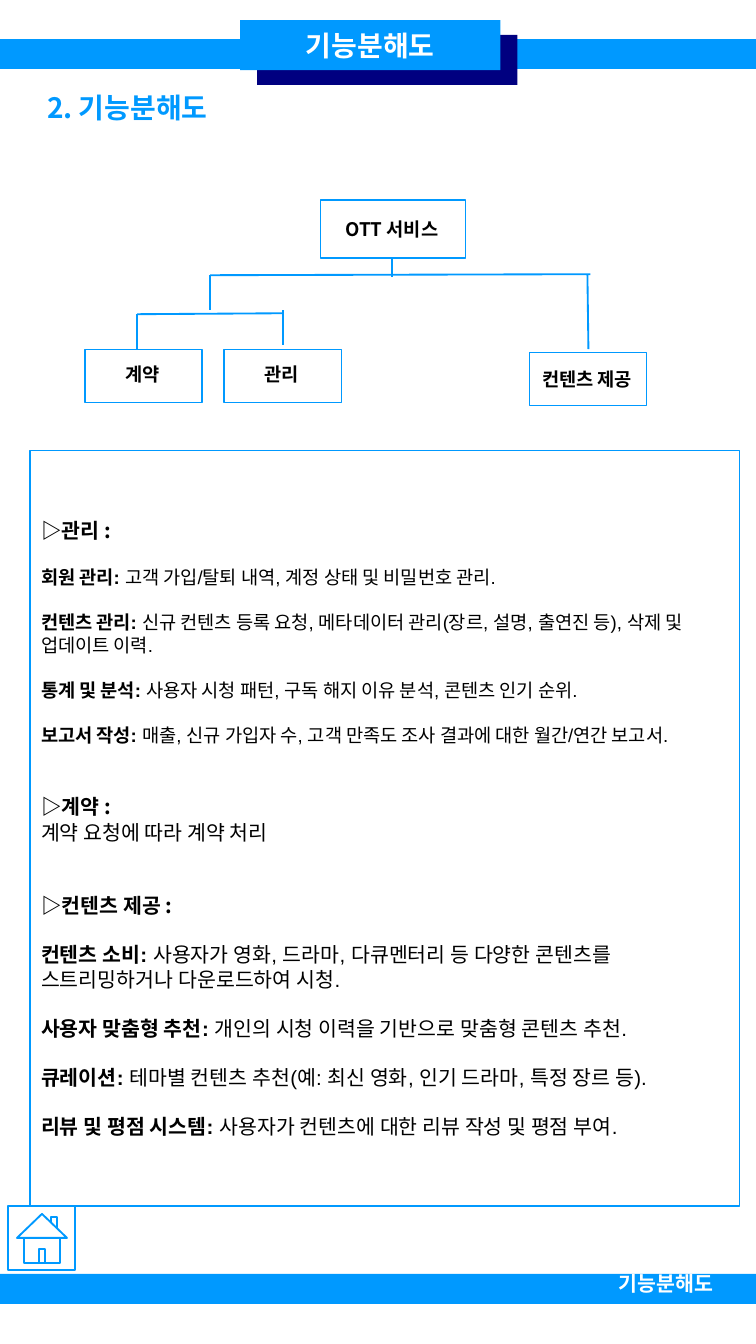
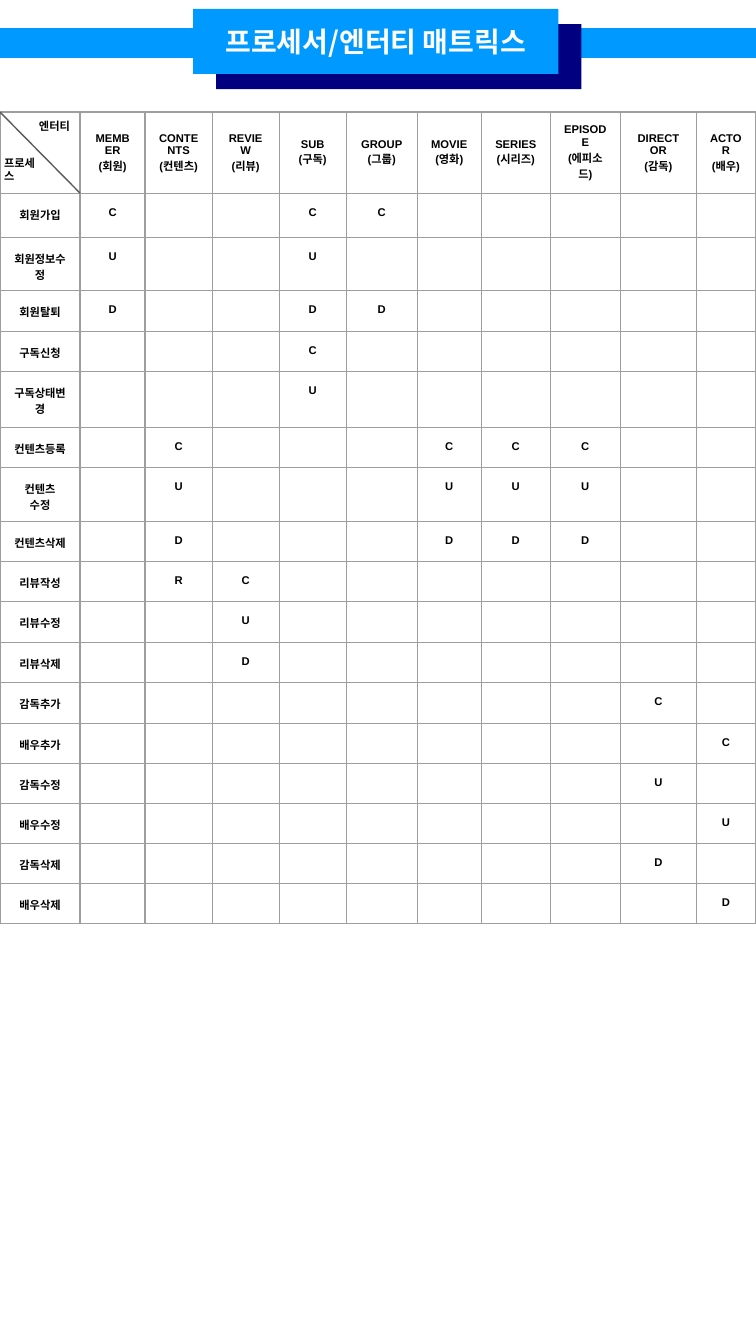
from lxml.etree import SubElement
from pptx import Presentation
from pptx.dml.color import RGBColor
from pptx.enum.shapes import MSO_CONNECTOR, MSO_SHAPE
from pptx.enum.text import MSO_ANCHOR as ANCHOR, MSO_AUTO_SIZE, PP_ALIGN as ALIGN
from pptx.oxml.ns import qn
from pptx.util import Emu, Inches, Pt

SCALE = 6809  # EMU in one px
SLIDE_W, SLIDE_H = Emu(5143500), Emu(9144000)  # 9:16 portrait
WIDTH = 755
KOREAN, LATIN = "Noto Sans CJK KR", "Arial"
COLORS = {"blue": "0099FF", "navy": "000080", "white": "FFFFFF",
          "black": "000000", "grid": "9E9E9E", "diagonal": "595959"}

# Slide 1: function tree
TREE_TITLE = "기능분해도"
SECTION = "2. 기능분해도"
# Nodes: text, box, bottom inset
NODES = [("OTT 서비스", (320, 200, 145, 58), 5), ("관리", (224, 349, 117, 53), 9),
         ("계약", (85, 349, 117, 53), 9), ("컨텐츠 제공", (529, 352, 117, 53), 5)]
LINKS = [(392, 257, 392, 277), (210, 275, 590, 274), (210, 275, 210, 310),
         (587, 275, 588, 349), (137, 314, 283, 313), (137, 314, 137, 349),
         (283, 310, 283, 345)]

# Details: (size, line height, gap above), bold lead, plain rest; heights in px
HEAD, SMALL, LARGE = (11, 25, 48), (10, 23, 22), (11, 25, 24)
DETAILS = [
    (HEAD, "▷관리 :", ""),
    (SMALL, "회원 관리:", " 고객 가입/탈퇴 내역, 계정 상태 및 비밀번호 관리."),
    (SMALL, "컨텐츠 관리:", " 신규 컨텐츠 등록 요청, 메타데이터 관리(장르, 설명, 출연진 등), "
                       "삭제 및 업데이트 이력."),
    (SMALL, "통계 및 분석:", " 사용자 시청 패턴, 구독 해지 이유 분석, 콘텐츠 인기 순위."),
    (SMALL, "보고서 작성:", " 매출, 신규 가입자 수, 고객 만족도 조사 결과에 대한 월간/연간 보고서."),
    (HEAD, "▷계약 :", ""),
    ((11, 25, 0), "", "계약 요청에 따라 계약 처리"),
    (HEAD, "▷컨텐츠 제공 :", ""),
    (LARGE, "컨텐츠 소비:", " 사용자가 영화, 드라마, 다큐멘터리 등 다양한 콘텐츠를 "
                       "스트리밍하거나 다운로드하여 시청."),
    (LARGE, "사용자 맞춤형 추천:", " 개인의 시청 이력을 기반으로 맞춤형 콘텐츠 추천."),
    (LARGE, "큐레이션:", " 테마별 컨텐츠 추천(예: 최신 영화, 인기 드라마, 특정 장르 등)."),
    (LARGE, "리뷰 및 평점 시스템:", " 사용자가 컨텐츠에 대한 리뷰 작성 및 평점 부여."),
]

# Home button outlines: (points, closed)
HOME = [
    ([(8, 1205), (75, 1205), (75, 1269), (8, 1269)], True),
    ([(42, 1213), (17, 1237), (67, 1237)], True),
    ([(24, 1237), (24, 1262), (60, 1262), (60, 1237)], False),
    ([(39, 1262), (39, 1248), (45, 1248), (45, 1262)], False),
    ([(51, 1222), (51, 1216), (57, 1216), (57, 1228)], False),
]

# Slide 2: process / entity matrix, one mark per entity
MATRIX_TITLE = "프로세서/엔터티 매트릭스"
ENTITIES = ["MEMBER\n(회원)", "CONTENTS\n(컨텐츠)", "REVIEW\n(리뷰)", "SUB\n(구독)",
            "GROUP\n(그룹)", "MOVIE\n(영화)", "SERIES\n(시리즈)",
            "EPISODE\n(에피소드)", "DIRECTOR\n(감독)", "ACTOR\n(배우)"]
COL_WIDTHS = [80, 65, 67, 67, 67, 71, 64, 69, 70, 76, 59]
HEADER_HEIGHT = 81
PROCESSES = [
    ("회원가입", "C..CC.....", 44), ("회원정보수정", "U..U......", 53),
    ("회원탈퇴", "D..DD.....", 41), ("구독신청", "...C......", 40),
    ("구독상태변경", "...U......", 56), ("컨텐츠등록", ".C...CCC..", 40),
    ("컨텐츠 수정", ".U...UUU..", 54), ("컨텐츠삭제", ".D...DDD..", 40),
    ("리뷰작성", ".RC.......", 40), ("리뷰수정", "..U.......", 41),
    ("리뷰삭제", "..D.......", 40), ("감독추가", "........C.", 41),
    ("배우추가", ".........C", 40), ("감독수정", "........U.", 40),
    ("배우수정", ".........U", 40), ("감독삭제", "........D.", 40),
    ("배우삭제", ".........D", 40),
]


def px(n):
    return Emu(n * SCALE)


def rgb(name):
    return RGBColor.from_string(COLORS[name])


def style(r, size, color="black", bold=True, font=KOREAN):
    r.font.size, r.font.bold, r.font.name = Pt(size), bold, font
    r.font.color.rgb = rgb(color)
    SubElement(r.font._element, qn("a:ea"), typeface=KOREAN)


def fill_text(tf, text, size, color="black", align=ALIGN.CENTER, font=KOREAN):
    tf.text = text
    for p in tf.paragraphs:
        p.alignment = align
        for r in p.runs:
            style(r, size, color, font=font)


def set_frame(tf, anchor=ANCHOR.MIDDLE, insets=(11, 5, 11, 5)):
    tf.word_wrap, tf.auto_size = True, MSO_AUTO_SIZE.NONE
    tf.vertical_anchor = anchor
    tf.margin_left, tf.margin_top, tf.margin_right, tf.margin_bottom = map(px, insets)


def place(sp, x, y, w, h):
    sp.left, sp.top, sp.width, sp.height = map(px, (x, y, w, h))


def paint(sp, fill=None, line=None, width=0.75):
    if fill:
        sp.fill.solid()
        sp.fill.fore_color.rgb = rgb(fill)
    else:
        sp.fill.background()
    if line:
        sp.line.color.rgb, sp.line.width = rgb(line), Pt(width)
    else:
        sp.line.fill.background()


def add_rect(slide, box, fill=None, line=None):
    sp = slide.shapes.add_shape(MSO_SHAPE.RECTANGLE, *map(px, box))
    sp.shadow.inherit = False
    paint(sp, fill, line)
    return sp


def add_label(slide, text, box, size, color="black", font=KOREAN, insets=(11, 5, 11, 5)):
    tf = slide.shapes.add_textbox(*map(px, box)).text_frame
    set_frame(tf, ANCHOR.TOP, insets)
    fill_text(tf, text, size, color, ALIGN.LEFT, font)


def add_line(slide, ends, color="blue", width=1):
    c = slide.shapes.add_connector(MSO_CONNECTOR.STRAIGHT, *map(px, ends))
    c.line.color.rgb, c.line.width = rgb(color), Pt(width)
    SubElement(c.element.spPr, qn("a:effectLst"))


def add_band(slide, y):
    add_rect(slide, (0, y, WIDTH, 30), "blue").width = SLIDE_W


def add_banner(slide, text, band_y, box, shift):
    """Blue band with the title plate and its navy plate behind."""
    x, y, w, h = box
    add_band(slide, band_y)
    add_rect(slide, (x + shift, y + 15, w, h), "navy")
    title = slide.shapes.title
    slide.shapes.element.append(title.element)  # bring to front
    place(title, *box)
    paint(title, "blue")
    set_frame(title.text_frame)
    fill_text(title.text_frame, text, 15, "white")


def add_home(slide):
    (first, closed), *rest = HOME
    fb = slide.shapes.build_freeform(*first[0], scale=SCALE)
    fb.add_line_segments(first[1:], close=closed)
    for points, closed in rest:
        fb.move_to(*points[0])
        fb.add_line_segments(points[1:], close=closed)
    sp = fb.convert_to_shape()
    sp.shadow.inherit = False
    paint(sp, line="blue", width=1)


def fill_details(body):
    place(body, 30, 450, 709, 755)
    paint(body, line="blue")
    tf = body.text_frame
    set_frame(tf)
    for i, ((size, height, gap), lead, rest) in enumerate(DETAILS):
        p = tf.paragraphs[0] if i == 0 else tf.add_paragraph()
        p.alignment, p.line_spacing = ALIGN.LEFT, px(height)
        p.space_before, p.space_after = px(gap if i else 0), Pt(0)
        pPr = p._p.get_or_add_pPr()
        pPr.set("marL", "0")
        pPr.set("indent", "0")
        SubElement(pPr, qn("a:buNone"))
        for text, bold in ((lead, True), (rest, False)):
            if text:
                r = p.add_run()
                r.text = text
                style(r, size, bold=bold, font=LATIN if lead and rest else KOREAN)


def format_cell(cell, text, header):
    cell.margin_left = cell.margin_right = Inches(0.1)
    cell.margin_top, cell.margin_bottom = (px(8), px(8)) if header else (px(13), px(0))
    cell.vertical_anchor = ANCHOR.MIDDLE if header else ANCHOR.TOP
    if text:
        fill_text(cell.text_frame, text, 6, font=LATIN)
    else:
        SubElement(cell.text_frame.paragraphs[0]._p, qn("a:endParaRPr"), sz="600")
    tcPr = cell._tc.get_or_add_tcPr()
    for side in ("lnL", "lnR", "lnT", "lnB"):
        ln = SubElement(tcPr, qn(f"a:{side}"), w=str(Pt(0.75)))
        SubElement(SubElement(ln, qn("a:solidFill")), qn("a:srgbClr"), val=COLORS["grid"])
    cell.fill.background()


def add_matrix(slide):
    rows = [["", *ENTITIES]]
    rows += [[name, *marks.replace(".", " ")] for name, marks, _ in PROCESSES]
    heights = [HEADER_HEIGHT] + [h for _, _, h in PROCESSES]
    box = (0, 112, sum(COL_WIDTHS), sum(heights))
    table = slide.shapes.add_table(len(rows), len(COL_WIDTHS), *map(px, box)).table
    table.first_row = table.horz_banding = False
    for col, w in zip(table.columns, COL_WIDTHS):
        col.width = px(w)
    for i, (row, h) in enumerate(zip(rows, heights)):
        table.rows[i].height = px(h)
        for j, text in enumerate(row):
            format_cell(table.cell(i, j), text.strip(), i == 0)


def build_tree(prs):
    slide = prs.slides.add_slide(prs.slide_layouts[1])
    add_banner(slide, TREE_TITLE, 39, (240, 20, 260, 50), 17)
    add_label(slide, SECTION, (36, 85, 467, 50), 15, "blue")
    for text, box, bottom in NODES:
        sp = add_rect(slide, box, line="blue")
        set_frame(sp.text_frame, insets=(5, 5, 7, bottom))
        fill_text(sp.text_frame, text, 10)
    for ends in LINKS:
        add_line(slide, ends)
    fill_details(slide.placeholders[1])
    # Footer
    add_home(slide)
    add_band(slide, 1273)
    add_label(slide, TREE_TITLE, (607, 1265, 140, 42), 11, "white")


def build_matrix(prs):
    slide = prs.slides.add_slide(prs.slide_layouts[5])
    add_banner(slide, MATRIX_TITLE, 28, (193, 9, 365, 65), 23)
    add_matrix(slide)
    # Split corner cell
    add_line(slide, (0, 112, 80, 193), "diagonal", 0.75)
    add_label(slide, "프로세스", (0, 143, 58, 40), 6, font=LATIN, insets=(4, 13, 13, 0))
    add_label(slide, "엔터티", (26, 114, 64, 40), 6, font=LATIN, insets=(13, 5, 13, 0))


def main():
    prs = Presentation()
    prs.slide_width, prs.slide_height = SLIDE_W, SLIDE_H
    build_tree(prs)
    build_matrix(prs)
    prs.save("out.pptx")


if __name__ == "__main__":
    main()
